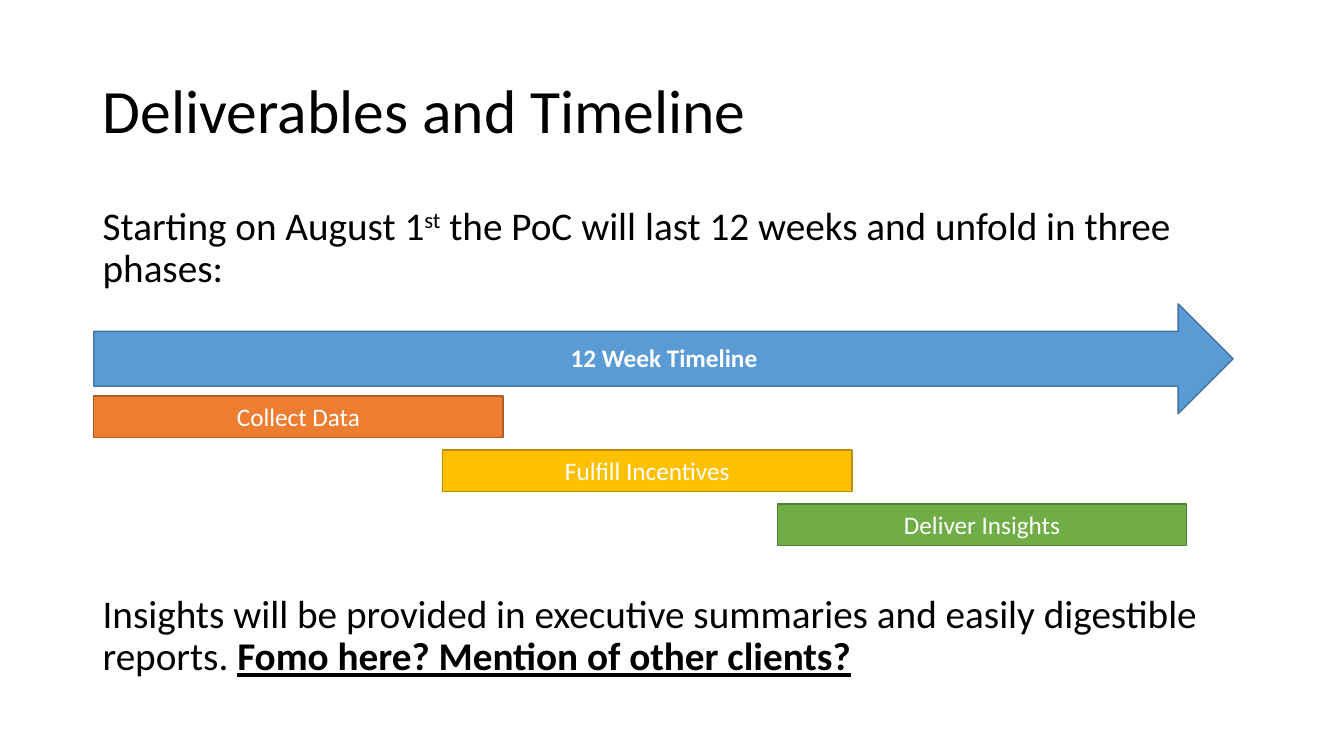
from pptx import Presentation
from pptx.dml.color import RGBColor
from pptx.enum.shapes import MSO_SHAPE as Shape
from pptx.enum.text import MSO_ANCHOR as Anchor, PP_ALIGN as Align
from pptx.util import Inches, Pt

WIDTH, HEIGHT = Inches(13.33), Inches(7.5)
FONT = "Calibri"
BLACK = RGBColor(0x00, 0x00, 0x00)
WHITE = RGBColor(0xFF, 0xFF, 0xFF)
BLUE, DARK_BLUE = RGBColor(0x5B, 0x9B, 0xD5), RGBColor(0x43, 0x73, 0x9E)
ORANGE, DARK_ORANGE = RGBColor(0xED, 0x7D, 0x31), RGBColor(0xAF, 0x5C, 0x24)
GOLD, DARK_GOLD = RGBColor(0xFF, 0xC0, 0x00), RGBColor(0xBD, 0x8E, 0x00)
GREEN, DARK_GREEN = RGBColor(0x70, 0xAD, 0x47), RGBColor(0x53, 0x80, 0x35)

TEXT_LEFT, TEXT_WIDTH = 6.9, 86.25
TIMELINE_LEFT, TIMELINE_WIDTH = 6.98, 84.77
PHASE_TOP, PHASE_STEP = 52.4, 7.13
PHASE_WIDTH, PHASE_HEIGHT = 30.46, 5.47
PHASES = [
    ("Collect Data", TIMELINE_LEFT, ORANGE, DARK_ORANGE),
    ("Fulfill Incentives", 32.93, GOLD, DARK_GOLD),
    ("Deliver Insights", 57.84, GREEN, DARK_GREEN),
]


def place(left, top, width, height):
    """Turn percentages of the slide's size into lengths."""
    return (round(WIDTH * left / 100), round(HEIGHT * top / 100),
            round(WIDTH * width / 100), round(HEIGHT * height / 100))


def style_paragraph(paragraph, size, color):
    """Set the font of a whole paragraph."""
    paragraph.font.name = FONT
    paragraph.font.size = Pt(size)
    paragraph.font.color.rgb = color


def add_text(slide, box, parts, size, color=BLACK, anchor=Anchor.TOP):
    """Add a wrapping text box with one run per part and return its paragraph."""
    frame = slide.shapes.add_textbox(*place(*box)).text_frame
    frame.word_wrap = True
    frame.vertical_anchor = anchor
    paragraph = frame.paragraphs[0]
    for part in parts:
        paragraph.add_run().text = part
    style_paragraph(paragraph, size, color)
    return paragraph


def add_body(slide, top, parts):
    """Add a body paragraph across the text column and return its runs."""
    paragraph = add_text(slide, (TEXT_LEFT, top, TEXT_WIDTH, 14.53), parts, 28)
    paragraph.line_spacing = 0.9
    paragraph.space_before = Pt(10)
    return paragraph.runs


def add_block(slide, kind, box, fill, line):
    """Add a filled and outlined shape."""
    shape = slide.shapes.add_shape(kind, *place(*box))
    shape.shadow.inherit = False
    shape.fill.solid()
    shape.fill.fore_color.rgb = fill
    shape.line.color.rgb = line
    shape.line.width = Pt(1)
    return shape


def add_phase(slide, row, name, left, fill, line):
    """Add the labelled bar of one phase."""
    box = (left, PHASE_TOP + row * PHASE_STEP, PHASE_WIDTH, PHASE_HEIGHT)
    frame = add_block(slide, Shape.RECTANGLE, box, fill, line).text_frame
    frame.vertical_anchor = Anchor.MIDDLE
    paragraph = frame.paragraphs[0]
    paragraph.text = name
    paragraph.alignment = Align.CENTER
    style_paragraph(paragraph, 18, WHITE)


def add_timeline(slide):
    """Add the timeline arrow with its label."""
    arrow_box = (TIMELINE_LEFT, 40.2, TIMELINE_WIDTH, 14.53)
    add_block(slide, Shape.RIGHT_ARROW, arrow_box, BLUE, DARK_BLUE)
    label = add_text(slide, (41.64, 44.67, 15.53, 5.33),
                     ["12 Week Timeline"], 18, WHITE)
    label.alignment = Align.CENTER
    label.font.bold = True


def main():
    """Build the slide and save it."""
    presentation = Presentation()
    presentation.slide_width, presentation.slide_height = WIDTH, HEIGHT
    slide = presentation.slides.add_slide(presentation.slide_layouts[6])

    title = add_text(slide, (TEXT_LEFT, 5.33, TEXT_WIDTH, 19.33),
                     ["Deliverables and Timeline"], 44, anchor=Anchor.MIDDLE)
    title.line_spacing = 0.9

    add_timeline(slide)
    for row, phase in enumerate(PHASES):
        add_phase(slide, row, *phase)

    intro = add_body(slide, 26.67, [
        "Starting on August 1", "st",
        " the PoC will last 12 weeks and unfold in three phases:"])
    intro[1].font._element.set("baseline", "30000")

    closing = add_body(slide, 78, [
        "Insights will be provided in executive summaries and easily "
        "digestible reports. ",
        "Fomo here? Mention of other clients?"])
    closing[1].font.bold = True
    closing[1].font.underline = True

    presentation.save("out.pptx")


main()
